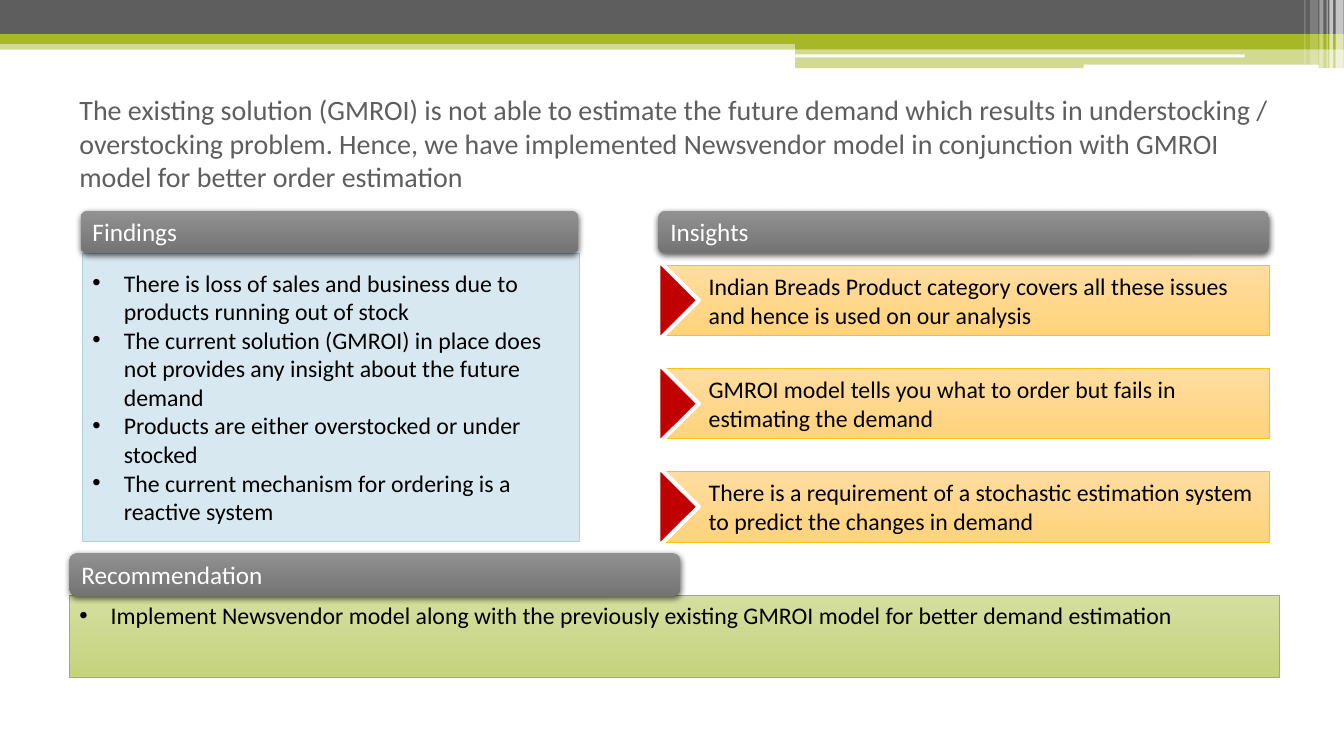
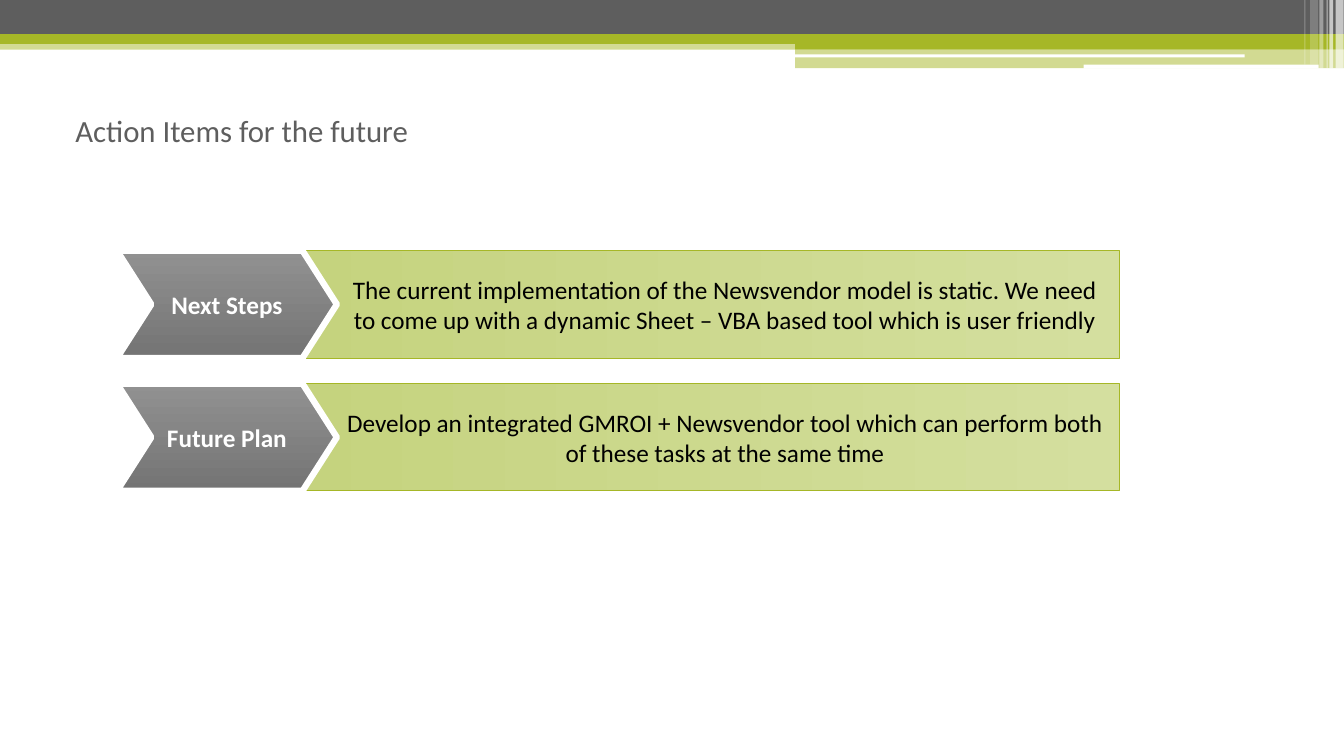
from lxml.etree import SubElement
from pptx import Presentation
from pptx.dml.color import RGBColor
from pptx.enum.shapes import MSO_SHAPE
from pptx.enum.text import MSO_ANCHOR, MSO_AUTO_SIZE, PP_ALIGN
from pptx.oxml.ns import qn
from pptx.util import Cm, Pt

# Colours
GREY = RGBColor(0x5E, 0x5E, 0x5E)
GREEN = RGBColor(0xA6, 0xB7, 0x27)
WHITE = RGBColor(0xFF, 0xFF, 0xFF)
BLACK = RGBColor(0x00, 0x00, 0x00)
RED = RGBColor(0xC0, 0x00, 0x00)
GOLD = RGBColor(0xFE, 0xC3, 0x06)
PALE_BLUE = RGBColor(0xD8, 0xE8, 0xF1)
BLUE_EDGE = RGBColor(0xB1, 0xD1, 0xE3)
GREY_BLEND = (RGBColor(0x91, 0x91, 0x91), RGBColor(0x74, 0x74, 0x74))
GREEN_BLEND = (RGBColor(0xD4, 0xDF, 0x9F), RGBColor(0xC5, 0xD3, 0x7E))
ORANGE_BLEND = (RGBColor(0xFF, 0xDD, 0x9F), RGBColor(0xFF, 0xD3, 0x7C))

# Shared measures, in centimetres
SLIDE_WIDTH, SLIDE_HEIGHT = 33.87, 19.05
HEADER_HEIGHT = 1.07
DOWNWARD, LEFTWARD = 270, 180

# Format values
FRAME = {
    "word_wrap": True,
    "auto_size": MSO_AUTO_SIZE.NONE,
    "vertical_anchor": MSO_ANCHOR.MIDDLE,
    "margin_left": Cm(0.25),
    "margin_right": Cm(0.25),
    "margin_top": Cm(0.13),
    "margin_bottom": Cm(0.13),
}
FONT = {"name": "Calibri", "size": Pt(18), "bold": False}
PARAGRAPH = {"alignment": PP_ALIGN.LEFT, "space_before": Pt(0)}
LIST_FRAME = {"vertical_anchor": MSO_ANCHOR.TOP}

# Master bands: left, top, width, height, colour, opacity in percent
BANDS = [
    (0, 1.02, SLIDE_WIDTH, 0.23, GREEN, 50),
    (0, 0, SLIDE_WIDTH, 0.86, GREY, 100),
    (0, 0.86, SLIDE_WIDTH, 0.25, GREEN, 100),
    (20.04, 0.99, 13.83, 0.25, GREEN, 100),
    (20.04, 1.22, 13.83, 0.5, GREEN, 50),
    (20.02, 1.37, 11.35, 0.08, WHITE, 100),
    (27.31, 1.63, 5.92, 0.1, WHITE, 100),
    (33.66, 0, 0.2, 1.73, WHITE, 65),
    (33.5, 0, 0.1, 1.73, WHITE, 65),
    (33.43, 0, 0.03, 1.73, WHITE, 60),
    (33.25, 0, 0.1, 1.73, WHITE, 40),
    (33.02, 0, 0.2, 1.63, WHITE, 20),
    (32.87, 0, 0.03, 1.63, WHITE, 30),
]


def set_values(target, values):
    for name, value in values.items():
        setattr(target, name, value)


def place(shape, box):
    names = ("left", "top", "width", "height")
    set_values(shape, {name: Cm(length) for name, length in zip(names, box)})


def paint(shape, fill, edge=None, edge_width=0.5, angle=DOWNWARD):
    """Fill with one colour or a pair of blended colours, and set the outline."""
    if isinstance(fill, RGBColor):
        shape.fill.solid()
        shape.fill.fore_color.rgb = fill
    else:
        shape.fill.gradient()
        shape.fill.gradient_angle = angle
        for stop, colour in zip(shape.fill.gradient_stops, fill):
            stop.color.rgb = colour
    if edge is None:
        shape.line.fill.background()
    else:
        shape.line.color.rgb = edge
        shape.line.width = Pt(edge_width)


def add_block(slide, kind, box, fill, **look):
    shape = slide.shapes.add_shape(kind, *map(Cm, box))
    shape.shadow.inherit = False
    paint(shape, fill, **look)
    return shape


def write(shape, lines, colour=BLACK, frame=None, font=None, layout=None):
    text_frame = shape.text_frame
    set_values(text_frame, FRAME | (frame or {}))
    text_frame.text = "\n".join(lines)
    for paragraph in text_frame.paragraphs:
        set_values(paragraph, PARAGRAPH | (layout or {}))
        for run in paragraph.runs:
            set_values(run.font, FONT | (font or {}))
            run.font.color.rgb = colour


def write_list(placeholder, box, lines, fill, edge, top_margin):
    place(placeholder, box)
    paint(placeholder, fill, edge=edge)
    write(placeholder, lines, font={"size": Pt(17)},
          frame=LIST_FRAME | {"margin_top": Cm(top_margin)})
    for paragraph in placeholder.text_frame.paragraphs:
        properties = paragraph._p.get_or_add_pPr()
        properties.set("marL", str(Cm(0.79)))
        properties.set("indent", str(Cm(-0.79)))


def write_title(slide, box, text, size, anchor):
    title = slide.shapes.title
    place(title, box)
    write(title, [text], GREY, {"vertical_anchor": anchor}, {"size": Pt(size)})


def add_master_bands(slide, master):
    """Build the top bands and move them behind the master's placeholders."""
    tree = master.shapes.element
    for position, (*box, colour, opacity) in enumerate(BANDS, start=2):
        band = add_block(slide, MSO_SHAPE.RECTANGLE, box, colour)
        if opacity < 100:
            colour_node = next(band.element.spPr.iter(qn("a:srgbClr")))
            SubElement(colour_node, qn("a:alpha"), val=str(opacity * 1000))
        tree.insert(position, band.element)


def add_header(slide, left, top, width, text):
    header = add_block(slide, MSO_SHAPE.ROUNDED_RECTANGLE,
                       (left, top, width, HEADER_HEIGHT), GREY_BLEND)
    effects = header.element.spPr.find(qn("a:effectLst"))
    shadow = SubElement(effects, qn("a:outerShdw"), blurRad=str(Pt(4.5)),
                        dist=str(Pt(1.5)), dir="5400000", rotWithShape="0")
    colour_node = SubElement(shadow, qn("a:srgbClr"), val="000000")
    SubElement(colour_node, qn("a:alpha"), val="63000")
    write(header, [text], WHITE)


def add_insight(slide, left, top, width, height, text):
    bar = add_block(slide, MSO_SHAPE.RECTANGLE, (left, top, width, height),
                    ORANGE_BLEND, edge=GOLD)
    write(bar, [text], frame={"margin_left": Cm(1.27)}, font={"size": Pt(17)})
    # The triangle is turned, so its box is centred on the marker
    base, depth = 2.03, 1.02
    marker_box = (left + (depth - base) / 2, top + (height - depth) / 2, base, depth)
    marker = add_block(slide, MSO_SHAPE.ISOSCELES_TRIANGLE, marker_box, RED,
                       edge=WHITE, edge_width=3)
    marker.rotation = 90


def add_insights(slide, left, top, width, texts):
    add_header(slide, left, top, width, "Insights")
    for index, text in enumerate(texts):
        add_insight(slide, left, top + 1.37 + index * 2.6, width, 1.78, text)


def add_action(slide, left, top, width, height, label, text):
    centred = {"alignment": PP_ALIGN.CENTER}
    bar = add_block(slide, MSO_SHAPE.RECTANGLE, (left + 4.6, top, width - 4.6, height),
                    GREEN_BLEND, edge=GREEN, angle=LEFTWARD)
    write(bar, [text], frame={"margin_left": Cm(1.02)}, layout=centred)
    chevron = add_block(slide, MSO_SHAPE.CHEVRON, (left, top, 5.54, height),
                        GREY_BLEND, edge=WHITE, edge_width=4.5)
    chevron.adjustments[0] = 0.32
    write(chevron, [label], WHITE, font={"bold": True}, layout=centred)


def fill_findings_slide(slide):
    write_title(
        slide, (1.75, 1.65, 30.48, 3.35),
        "The existing solution (GMROI) is not able to estimate the future demand "
        "which results in understocking / overstocking problem. Hence, we have "
        "implemented Newsvendor model in conjunction with GMROI model for better "
        "order estimation", 20, MSO_ANCHOR.BOTTOM)
    findings, recommendation = list(slide.placeholders)[1:]

    # Findings
    write_list(findings, (2.08, 6.38, 12.52, 7.26), [
        "There is loss of sales and business due to products running out of stock",
        "The current solution (GMROI) in place does not provides any insight about "
        "the future demand",
        "Products are either overstocked or under stocked",
        "The current mechanism for ordering is a reactive system",
    ], PALE_BLUE, BLUE_EDGE, 0.38)
    add_header(slide, 2.03, 5.31, 12.55, "Findings")

    # Insights
    add_insights(slide, 16.59, 5.31, 15.39, [
        "Indian Breads Product category covers all these issues and hence is used "
        "on our analysis",
        "GMROI model tells you what to order but fails in estimating the demand",
        "There is a requirement of a stochastic estimation system to predict the "
        "changes in demand",
    ])

    # Recommendation
    write_list(recommendation, (1.75, 15.01, 30.48, 2.06), [
        "Implement Newsvendor model along with the previously existing GMROI model "
        "for better demand estimation",
    ], GREEN_BLEND, GREEN, 0.13)
    add_header(slide, 1.75, 13.94, 15.39, "Recommendation")


def fill_actions_slide(slide):
    write_title(slide, (1.65, 1.8, 30.48, 2.97), "Action Items for the future",
                22, MSO_ANCHOR.MIDDLE)
    actions = [
        ("Next Steps", "The current implementation of the Newsvendor model is static. "
         "We need to come up with a dynamic Sheet – VBA based tool which is user "
         "friendly"),
        ("Future Plan", "Develop an integrated GMROI + Newsvendor tool which can "
         "perform both of these tasks at the same time"),
    ]
    for index, (label, text) in enumerate(actions):
        add_action(slide, 2.95, 6.32 + index * 3.35, 25.27, 2.7, label, text)


def main():
    presentation = Presentation()
    presentation.slide_width = Cm(SLIDE_WIDTH)
    presentation.slide_height = Cm(SLIDE_HEIGHT)
    layouts = presentation.slide_layouts

    findings_slide = presentation.slides.add_slide(layouts.get_by_name("Two Content"))
    add_master_bands(findings_slide, presentation.slide_master)
    fill_findings_slide(findings_slide)
    fill_actions_slide(presentation.slides.add_slide(layouts.get_by_name("Title Only")))
    presentation.save("out.pptx")


if __name__ == "__main__":
    main()
